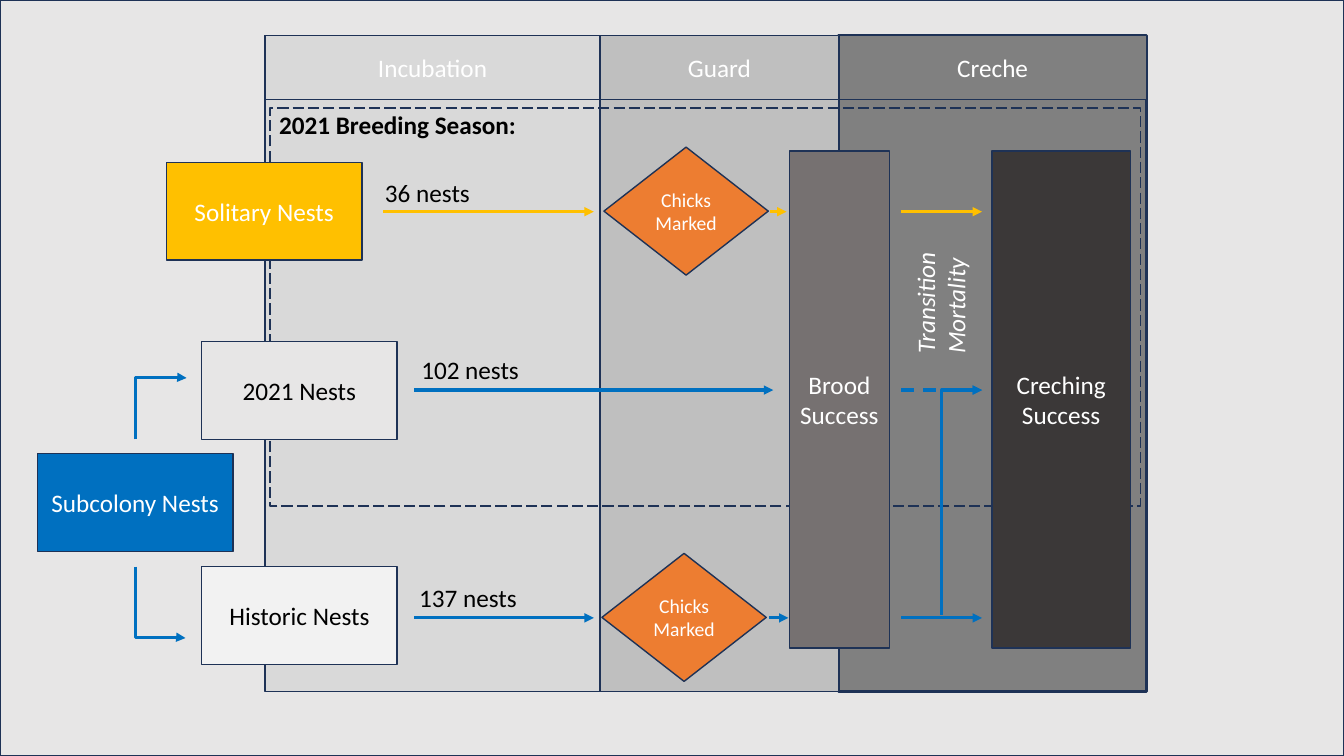
from dataclasses import dataclass

from lxml import etree
from pptx import Presentation
from pptx.dml.color import RGBColor
from pptx.enum import dml, shapes, text
from pptx.oxml import ns
from pptx.util import Inches, Pt

FONT = "Calibri"
NAVY, BLUE, GOLD = "1E3256", "0070C0", "FFC000"
ORANGE, WHITE, BLACK = "ED7D31", "FFFFFF", "000000"
RECT = shapes.MSO_SHAPE.RECTANGLE
DIAMOND = shapes.MSO_SHAPE.DIAMOND
DASH = dml.MSO_LINE.DASH


@dataclass
class Box:
    x: float
    y: float
    w: float
    h: float
    fill: str | None = None
    words: str = ""
    ink: str = WHITE
    size: int = 18
    kind: int = RECT
    edge: float = 1
    dash: int | None = None


@dataclass
class Label:
    x: float
    y: float
    w: float
    h: float
    words: str
    ink: str = BLACK
    bold: bool = False
    slant: bool = False
    turn: int = 0


@dataclass
class Arrow:
    x1: float
    y1: float
    x2: float
    y2: float
    hue: str = BLUE
    dash: int | None = None


@dataclass
class Elbow:
    """An arrow that runs upright from its start, then right to its end."""
    x1: float
    y1: float
    x2: float
    y2: float
    bend: float
    dash: int | None = None


@dataclass
class Phase:
    name: str
    x: float
    w: float
    fill: str
    edge: float = 1


def rgb(code: str) -> RGBColor:
    return RGBColor.from_string(code)


def write(frame, words: str, size: int, ink: str,
          bold: bool = False, slant: bool = False) -> None:
    frame.word_wrap = True
    run = frame.paragraphs[0].add_run()
    run.text = words
    font = run.font
    font.name, font.size = FONT, Pt(size)
    font.bold, font.italic = bold, slant
    font.color.rgb = rgb(ink)


def draw_box(slide, box: Box) -> None:
    shape = slide.shapes.add_shape(
        box.kind, *map(Inches, (box.x, box.y, box.w, box.h)))
    shape.shadow.inherit = False
    if box.fill:
        shape.fill.solid()
        shape.fill.fore_color.rgb = rgb(box.fill)
    else:
        shape.fill.background()
    shape.line.color.rgb = rgb(NAVY)
    shape.line.width = Pt(box.edge)
    if box.dash:
        shape.line.dash_style = box.dash
    if box.words:
        frame = shape.text_frame
        frame.vertical_anchor = text.MSO_ANCHOR.MIDDLE
        frame.paragraphs[0].alignment = text.PP_ALIGN.CENTER
        write(frame, box.words, box.size, box.ink)


def draw_label(slide, label: Label) -> None:
    shape = slide.shapes.add_textbox(
        *map(Inches, (label.x, label.y, label.w, label.h)))
    shape.rotation = label.turn
    write(shape.text_frame, label.words, 18, label.ink,
          label.bold, label.slant)


def style(link, hue: str, dash: int | None) -> None:
    """Colour a connector, drop its shadow and add its arrowhead."""
    link.line.color.rgb = rgb(hue)
    link.line.width = Pt(2.25)
    if dash:
        link.line.dash_style = dash
    props = link._element.spPr
    tail = etree.SubElement(props.find(ns.qn("a:ln")), ns.qn("a:tailEnd"))
    tail.set("type", "triangle")
    etree.SubElement(props, ns.qn("a:effectLst"))


def draw_arrow(slide, arrow: Arrow) -> None:
    link = slide.shapes.add_connector(
        shapes.MSO_CONNECTOR.STRAIGHT,
        *map(Inches, (arrow.x1, arrow.y1, arrow.x2, arrow.y2)))
    style(link, arrow.hue, arrow.dash)


def draw_elbow(slide, elbow: Elbow) -> None:
    """Lay the connector on its side, then turn it about its centre."""
    midx, midy = (elbow.x1 + elbow.x2) / 2, (elbow.y1 + elbow.y2) / 2
    half = abs(elbow.y2 - elbow.y1) / 2
    rise = (elbow.x2 - elbow.x1) / 2
    turn = 90
    if elbow.y2 > elbow.y1:
        rise, turn = -rise, 270
    link = slide.shapes.add_connector(
        shapes.MSO_CONNECTOR.ELBOW,
        *map(Inches, (midx + half, midy + rise, midx - half, midy - rise)))
    props = link._element.spPr
    props.find(ns.qn("a:xfrm")).set("rot", str(turn * 60000))
    geom = props.find(ns.qn("a:prstGeom"))
    guides = geom.find(ns.qn("a:avLst"))
    if guides is None:
        guides = etree.SubElement(geom, ns.qn("a:avLst"))
    guide = etree.SubElement(guides, ns.qn("a:gd"))
    guide.set("name", "adj1")
    guide.set("fmla", f"val {round(elbow.bend * 100000)}")
    style(link, BLUE, elbow.dash)


TOP, HEAD, TALL = 0.35, 0.64, 6.51
NEST_W, NEST_H = 1.94, 0.97
ROW1, ROW2, ROW3 = 2.1, 3.87, 6.13

PHASES = [
    Phase("Creche", 8.32, 3.05, "808080", 2.25),
    Phase("Guard", 5.95, 2.37, "BFBFBF"),
    Phase("Incubation", 2.63, 3.32, "D9D9D9"),
]
BOXES = [
    Box(0, 0, 13.33, 7.5, "E7E6E6"),
    *(Box(p.x, TOP, p.w, TALL, p.fill, edge=p.edge) for p in PHASES),
    *(Box(p.x, TOP, p.w, HEAD, p.fill, p.name) for p in PHASES),
    Box(2.68, 1.07, 8.63, 3.95, dash=dml.MSO_LINE.LONG_DASH),
    Box(1.65, 1.61, NEST_W, NEST_H, GOLD, "Solitary Nests"),
    Box(0.37, 4.5, NEST_W, NEST_H, BLUE, "Subcolony Nests"),
    Box(2, 3.39, NEST_W, NEST_H, "E7E6E6", "2021 Nests", BLACK),
    Box(2, 5.62, NEST_W, NEST_H, "F2F2F2", "Historic Nests", BLACK),
    *(Box(x, y, 1.63, 1.27, ORANGE, "Chicks Marked", size=14, kind=DIAMOND)
      for x, y in ((5.99, 1.46), (5.97, 5.49))),
    Box(7.83, 1.5, 0.99, 4.93, "767171", "Brood Success"),
    Box(9.84, 1.5, 1.37, 4.93, "3B3838", "Creching Success"),
]
ARROWS = [
    Arrow(3.8, ROW1, 5.89, ROW1, GOLD),
    Arrow(7.64, ROW1, 7.8, ROW1, GOLD),
    Arrow(8.94, ROW1, 9.74, ROW1, GOLD),
    Arrow(4.11, ROW2, 7.67, ROW2),
    Arrow(8.94, ROW2, 9.74, ROW2, dash=DASH),
    Arrow(4.11, ROW3, 5.89, ROW3),
    Arrow(7.63, ROW3, 7.82, ROW3),
    Arrow(8.94, ROW3, 9.74, ROW3),
]
ELBOWS = [
    Elbow(1.34, 4.36, 1.85, 3.75, 1.01),
    Elbow(1.34, 5.62, 1.84, 6.33, 0.99),
    Elbow(9.34, 6.1, 9.74, ROW2, 1),
]
LABELS = [
    Label(3.72, 1.71, 1.16, 0.4, "36 nests"),
    Label(4.08, 3.47, 1.39, 0.4, "102 nests"),
    Label(4.06, 5.73, 1.4, 0.4, "137 nests"),
    Label(2.67, 1.04, 2.61, 0.4, "2021 Breeding Season:", bold=True),
    Label(8.61, 2.53, 1.44, 0.71, "Transition Mortality", WHITE,
          slant=True, turn=270),
]


def main() -> None:
    deck = Presentation()
    deck.slide_width, deck.slide_height = Inches(13.33), Inches(7.5)
    slide = deck.slides.add_slide(deck.slide_layouts[6])
    for box in BOXES:
        draw_box(slide, box)
    for arrow in ARROWS:
        draw_arrow(slide, arrow)
    for elbow in ELBOWS:
        draw_elbow(slide, elbow)
    for label in LABELS:
        draw_label(slide, label)
    deck.save("out.pptx")


if __name__ == "__main__":
    main()
